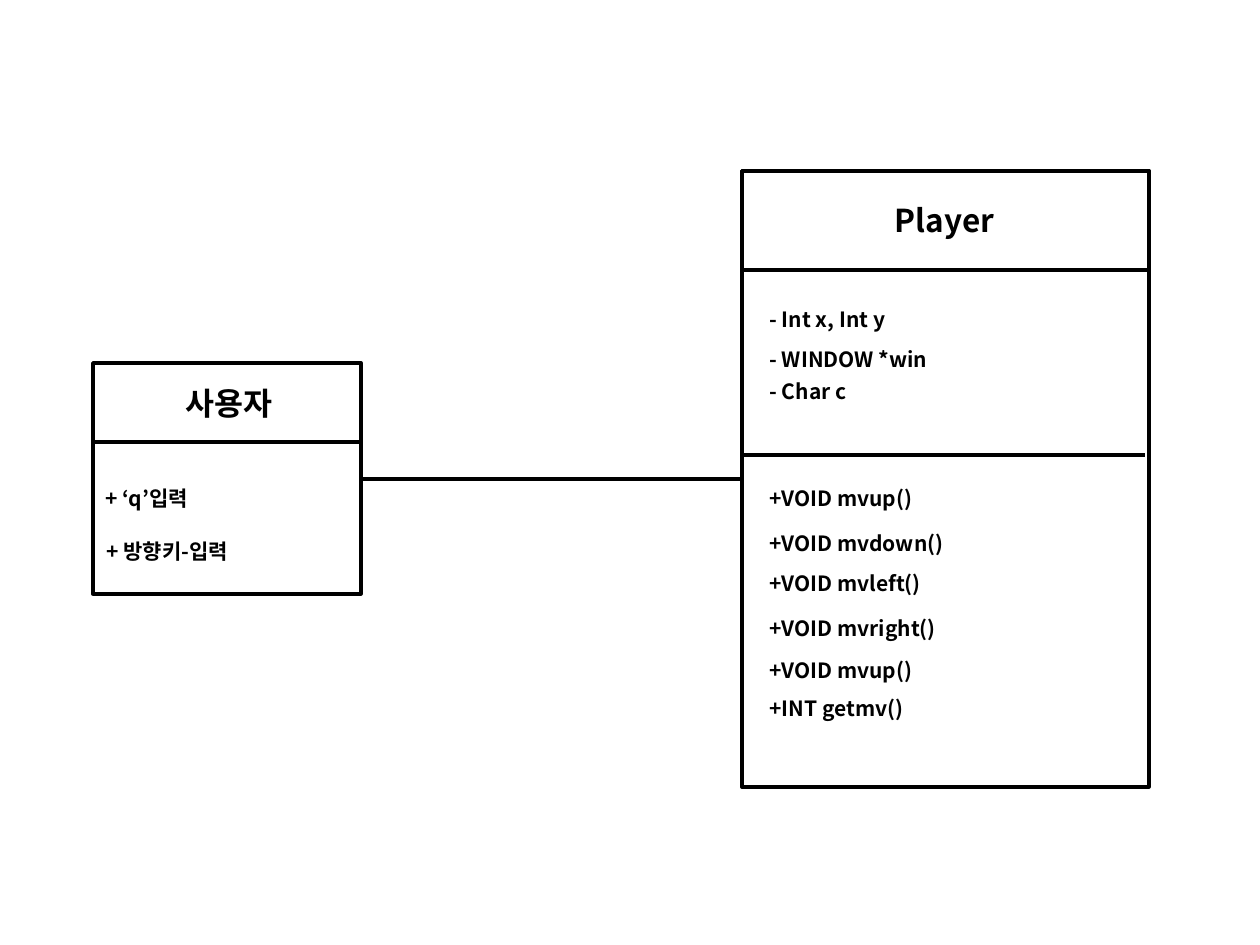
from lxml import etree
from pptx import Presentation
from pptx import util as u
from pptx.dml.color import RGBColor
from pptx.enum import shapes, text
from pptx.oxml.ns import qn

PX = 7257  # EMU per px, 126 px to the inch
THEME = {
    "ink": RGBColor(0, 0, 0),
    "paper": RGBColor(255, 255, 255),
    "font": "Noto Sans CJK KR",
    "name": u.Pt(18),
    "member": u.Pt(12),
    "border": u.Pt(2),
    "rule": u.Pt(2.25),
}

# Box and name band as left, top, width, height; members as left, top, width, text
CLASSES = [
    {
        "box": (93, 364, 268, 230),
        "band": (93, 363, 268, 79),
        "name": (140, 378, 179, "사용자"),
        "members": [(93, 479, 268, "+ ‘q’입력"), (94, 532, 268, "+ 방향키-입력")],
    },
    {
        "box": (742, 171, 407, 616),
        "band": (742, 171, 407, 99),
        "name": (791, 195, 307, "Player"),
        "members": [(757, top, 357, label) for top, label in [
            (300, "- Int x, Int y"),
            (340, "- WINDOW *win"),
            (372, "- Char c"),
            (479, "+VOID mvup()"),
            (524, "+VOID mvdown()"),
            (564, "+VOID mvleft()"),
            (609, "+VOID mvright()"),
            (651, "+VOID mvup()"),
            (689, "+INT getmv()"),
        ]],
    },
]

prs = Presentation()
prs.slide_width, prs.slide_height = u.Inches(10), u.Inches(7.5)
s = prs.slides.add_slide(prs.slide_layouts[6])


def add_label(left, top, width, label, size, height, align):
    sp = s.shapes.add_textbox(*(v * PX for v in (left, top, width, height)))
    tf = sp.text_frame
    tf.word_wrap = True
    tf.auto_size = text.MSO_AUTO_SIZE.SHAPE_TO_FIT_TEXT
    p = tf.paragraphs[0]
    p.alignment = align
    r = p.add_run()
    r.text = label
    for key, value in {"name": THEME["font"], "size": THEME[size], "bold": True}.items():
        setattr(r.font, key, value)
    r.font.color.rgb = THEME["ink"]
    etree.SubElement(r.font._element, qn("a:ea"), typeface=THEME["font"])


def add_rule(x1, y1, x2, y2):
    line = s.shapes.add_connector(
        shapes.MSO_CONNECTOR.STRAIGHT, *(v * PX for v in (x1, y1, x2, y2)))
    line.line.color.rgb = THEME["ink"]
    line.line.width = THEME["rule"]
    etree.SubElement(line._element.spPr, qn("a:effectLst"))
    return line


# Class boxes with name band and members
boxes = []
for cls in CLASSES:
    for part in ("box", "band"):
        sp = s.shapes.add_shape(shapes.MSO_SHAPE.RECTANGLE, *(v * PX for v in cls[part]))
        sp.shadow.inherit = False
        sp.fill.solid()
        sp.fill.fore_color.rgb = THEME["paper"]
        sp.line.color.rgb = THEME["ink"]
        sp.line.width = THEME["border"]
        if part == "box":
            boxes.append(sp)
    add_label(*cls["name"], "name", 50, text.PP_ALIGN.CENTER)
    for member in cls["members"]:
        add_label(*member, "member", 38, text.PP_ALIGN.LEFT)

# Divider between Player attributes and methods
add_rule(742, 455, 1145, 455)

# Association from user to Player
user, player = boxes
link = add_rule(361, 479, 742, 479)
link.begin_connect(user, 3)
link.end_connect(player, 1)

prs.save("out.pptx")
